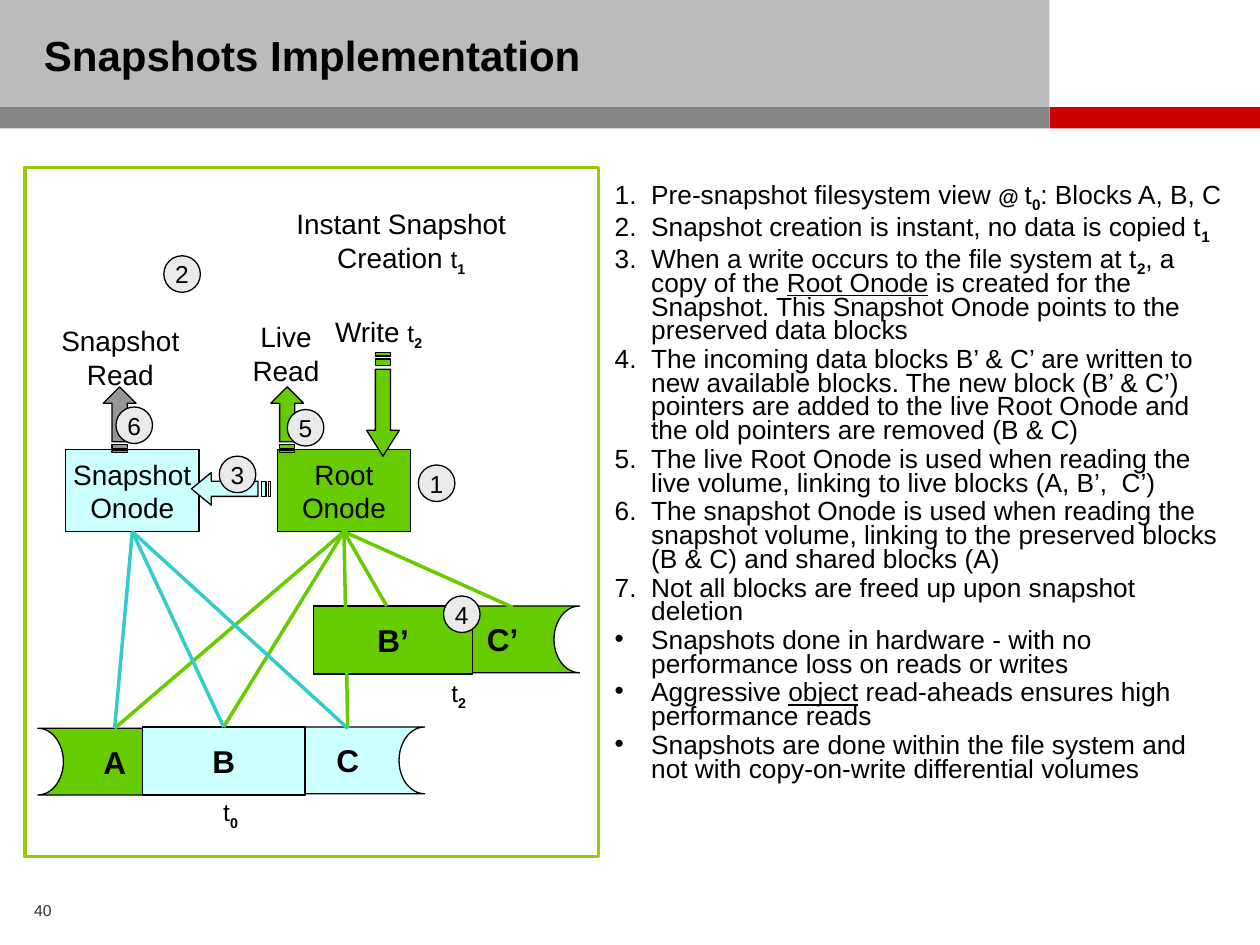
from lxml.etree import SubElement
from pptx import Presentation
from pptx.dml.color import RGBColor
from pptx.enum.shapes import MSO_CONNECTOR, MSO_SHAPE
from pptx.enum.text import MSO_ANCHOR, PP_ALIGN
from pptx.oxml.ns import qn
from pptx.util import Inches, Pt

GREEN, PALE, TEAL = "66CC00", "CCFFFF", "33CCCC"
SUB = {"bold": True, "subscript": True}
UNDER = {"underline": True}

BANDS = [
    (0, 0, 8.33, 0.85, "BBBBBB"),
    (0, 0.85, 8.33, 0.17, "868686"),
    (8.33, 0.85, 1.67, 0.17, "CC0000"),
]
STEPS = [
    ["Pre-snapshot filesystem view ", ("@ ", {"size": 12, "bold": True}), "t", ("0", SUB),
     ": Blocks A, B, C"],
    ["Snapshot creation is instant, no data is copied t", ("1", SUB)],
    ["When a write occurs to the file system at t", ("2", SUB), ", a copy of the ",
     ("Root Onode", UNDER),
     " is created for the Snapshot. This Snapshot Onode points to the preserved data blocks"],
    ["The incoming data blocks B’ & C’ are written to new available blocks. The new block "
     "(B’ & C’) pointers are added to the live Root Onode and the old pointers are removed (B & C)"],
    ["The live Root Onode is used when reading the live volume, linking to live blocks (A, B’,  C’)"],
    ["The snapshot Onode is used when reading the snapshot volume, linking to the preserved "
     "blocks (B & C) and shared blocks (A)"],
    ["Not all blocks are freed up upon snapshot deletion"],
]
NOTES = [
    ["Snapshots done in hardware - with no performance loss on reads or writes"],
    ["Aggressive ", ("object", UNDER), " read-aheads ensures high performance reads"],
    ["Snapshots are done within the file system and not with copy-on-write differential volumes"],
]
SMALL_T = ("t", {"size": 14})
LABELS = [
    (2.15, 1.59, 2.07, 0.64, ["Instant Snapshot Creation ", SMALL_T, ("1", {"size": 14, **SUB})]),
    (2.51, 2.45, 0.99, 0.37, ["Write ", SMALL_T, ("2", {"size": 14, **SUB})]),
    (1.72, 2.49, 1.1, 0.64, ["Live Read"]),
    (0.24, 2.52, 1.43, 0.64, ["Snapshot Read"]),
    (0.74, 6.28, 2.18, 0.33, [SMALL_T, ("0", {"size": 14, **SUB})]),
    (2.55, 5.33, 2.18, 0.33, [SMALL_T, ("2", {"size": 14, **SUB})]),
]
RECT, STORAGE = MSO_SHAPE.RECTANGLE, MSO_SHAPE.FLOWCHART_STORED_DATA
ONODES = {
    "Snapshot": (0.52, 3.57, 1.06, 0.65, PALE),
    "Root": (2.2, 3.57, 1.06, 0.65, GREEN),
}
BLOCKS = [
    ("C’", STORAGE, 3.38, 4.81, 1.22, 0.53, GREEN),
    ("B’", RECT, 2.49, 4.81, 1.26, 0.54, GREEN),
    ("A", STORAGE, 0.3, 5.78, 1.22, 0.53, GREEN),
    ("C", STORAGE, 2.15, 5.77, 1.22, 0.53, PALE),
    ("B", RECT, 1.13, 5.77, 1.29, 0.54, PALE),
]
ARROWS = [
    (1.52, 3.88, (1, 0), 0.63, PALE),
    (3.04, 3.62, (0, -1), 0.82, GREEN),
    (0.95, 3.07, (0, 1), 0.52, "969696"),
    (2.28, 3.07, (0, 1), 0.52, GREEN),
]
POINTERS = {
    "Root": (GREEN, [(1.77, 5.78), (2.76, 5.78), (0.91, 5.78), (3.07, 4.81), (4.07, 4.82)]),
    "Snapshot": (TEAL, [(1.77, 5.78), (0.91, 5.78), (2.76, 5.78)]),
}
BADGES = [(3.32, 3.69), (1.3, 2.03), (1.74, 3.62), (3.52, 4.73), (2.28, 3.25), (0.92, 3.23)]

presentation = Presentation()
presentation.slide_width, presentation.slide_height = Inches(10), Inches(7.5)
slide = presentation.slides.add_slide(presentation.slide_layouts[6])
shapes = slide.shapes


def color(value):
    return RGBColor.from_string(value)


def write(shape, paragraphs, size=16, bold=False, ink="000000", align=PP_ALIGN.CENTER,
          anchor=MSO_ANCHOR.TOP, wrap=True, margins=(0.1, 0.05), spacing=None, before=0,
          bullets=None):
    frame = shape.text_frame
    frame.word_wrap, frame.vertical_anchor = wrap, anchor
    frame.margin_left = frame.margin_right = Inches(margins[0])
    frame.margin_top = frame.margin_bottom = Inches(margins[1])
    for index, runs in enumerate(paragraphs):
        paragraph = frame.paragraphs[0] if index == 0 else frame.add_paragraph()
        paragraph.alignment = align
        if spacing:
            paragraph.line_spacing = spacing
        if before and index:
            paragraph.space_before = Pt(before)
        if bullets:
            add_bullet(paragraph, bullets[index])
        for item in runs:
            text, style = (item, {}) if isinstance(item, str) else item
            run = paragraph.add_run()
            run.text = text
            font = run.font
            font.name, font.size = "Arial", Pt(style.get("size", size))
            font.bold = style.get("bold", bold)
            font.color.rgb = color(ink)
            if style.get("underline"):
                font.underline = True
            if style.get("subscript"):
                run._r.get_or_add_rPr().set("baseline", "-25000")


def add_bullet(paragraph, kind):
    properties = paragraph._p.get_or_add_pPr()
    properties.set("marL", str(Inches(0.29)))
    properties.set("indent", str(-Inches(0.29)))
    SubElement(properties, qn("a:buFont"), typeface="Arial")
    if kind == "number":
        SubElement(properties, qn("a:buAutoNum"), type="arabicPeriod")
    else:
        SubElement(properties, qn("a:buChar"), char=kind)


def paint(shape, fill, line="000000", line_width=0.75):
    shape.shadow.inherit = False
    shape.fill.solid()
    shape.fill.fore_color.rgb = color(fill)
    if line:
        shape.line.color.rgb = color(line)
        shape.line.width = Pt(line_width)
    else:
        shape.line.fill.background()
    return shape


def add_box(kind, left, top, width, height, fill, **outline):
    return paint(shapes.add_shape(kind, *map(Inches, (left, top, width, height))), fill, **outline)


def add_text(left, top, width, height, paragraphs, **style):
    write(shapes.add_textbox(*map(Inches, (left, top, width, height))), paragraphs, **style)


def add_striped_arrow(tip_x, tip_y, direction, length, fill):
    along_x, along_y = direction

    def place(along, across):
        return (Inches(tip_x + along * length * along_x + across * along_y),
                Inches(tip_y + along * length * along_y + across * along_x))

    head, shaft = 0.13, 0.06
    outlines = [[(0, 0), (0.25, head), (0.25, shaft), (0.84, shaft),
                 (0.84, -shaft), (0.25, -shaft), (0.25, -head)]]
    for start, end in [(0.88, 0.94), (0.97, 1)]:
        outlines.append([(start, shaft), (end, shaft), (end, -shaft), (start, -shaft)])
    builder = None
    for outline in outlines:
        first, *rest = [place(*point) for point in outline]
        if builder is None:
            builder = shapes.build_freeform(*first, scale=1.0)
        else:
            builder.move_to(*first)
        builder.add_line_segments(rest, close=True)
    paint(builder.convert_to_shape(), fill)


def add_pointer(source, target, line):
    start = (source.left + source.width // 2, source.top + source.height)
    connector = shapes.add_connector(MSO_CONNECTOR.STRAIGHT, *start, *map(Inches, target))
    connector.begin_connect(source, 2)
    connector.line.color.rgb = color(line)
    connector.line.width = Pt(2)
    SubElement(connector._element.spPr, qn("a:effectLst"))
    return connector


for *place, fill in BANDS:
    add_box(RECT, *place, fill, line=None)
add_text(0.25, 0.28, 7.75, 0.36, [["Snapshots Implementation"]], size=24, bold=True,
         align=PP_ALIGN.LEFT, anchor=MSO_ANCHOR.MIDDLE, margins=(0.1, 0), spacing=0.9)
add_text(0.12, 7.15, 0.29, 0.13, [["40"]], size=9, ink="333333", align=PP_ALIGN.RIGHT,
         margins=(0, 0))
add_box(RECT, 0.2, 1.33, 4.55, 5.47, "FFFFFF", line="99CC00", line_width=2)
add_text(4.78, 1.4, 5.08, 5.13, STEPS + NOTES, size=15, align=PP_ALIGN.LEFT, spacing=0.75,
         before=3, bullets=["number"] * len(STEPS) + ["•"] * len(NOTES))

centered = {"anchor": MSO_ANCHOR.MIDDLE, "wrap": False}
onodes = {}
for name, place in ONODES.items():
    onodes[name] = add_box(RECT, *place)
    write(onodes[name], [[name], ["Onode"]], **centered)
blocks = {}
for name, *place in BLOCKS:
    blocks[name] = add_box(*place)
    write(blocks[name], [[name]], size=18, bold=True, **centered)
blocks["A"]._element.spPr.find(qn("a:xfrm")).set("flipH", "1")

for arrow in ARROWS:
    add_striped_arrow(*arrow)
for name, (line, targets) in POINTERS.items():
    for target in targets:
        pointer = add_pointer(onodes[name], target, line)
        if target == (1.77, 5.78):
            pointer.end_connect(blocks["B"], 0)
for *place, runs in LABELS:
    add_text(*place, [runs])
for number, (left, top) in enumerate(BADGES, 1):
    badge = add_box(MSO_SHAPE.OVAL, left, top, 0.29, 0.29, "EAEAEA")
    write(badge, [[str(number)]], size=14, **centered)

presentation.save("out.pptx")
